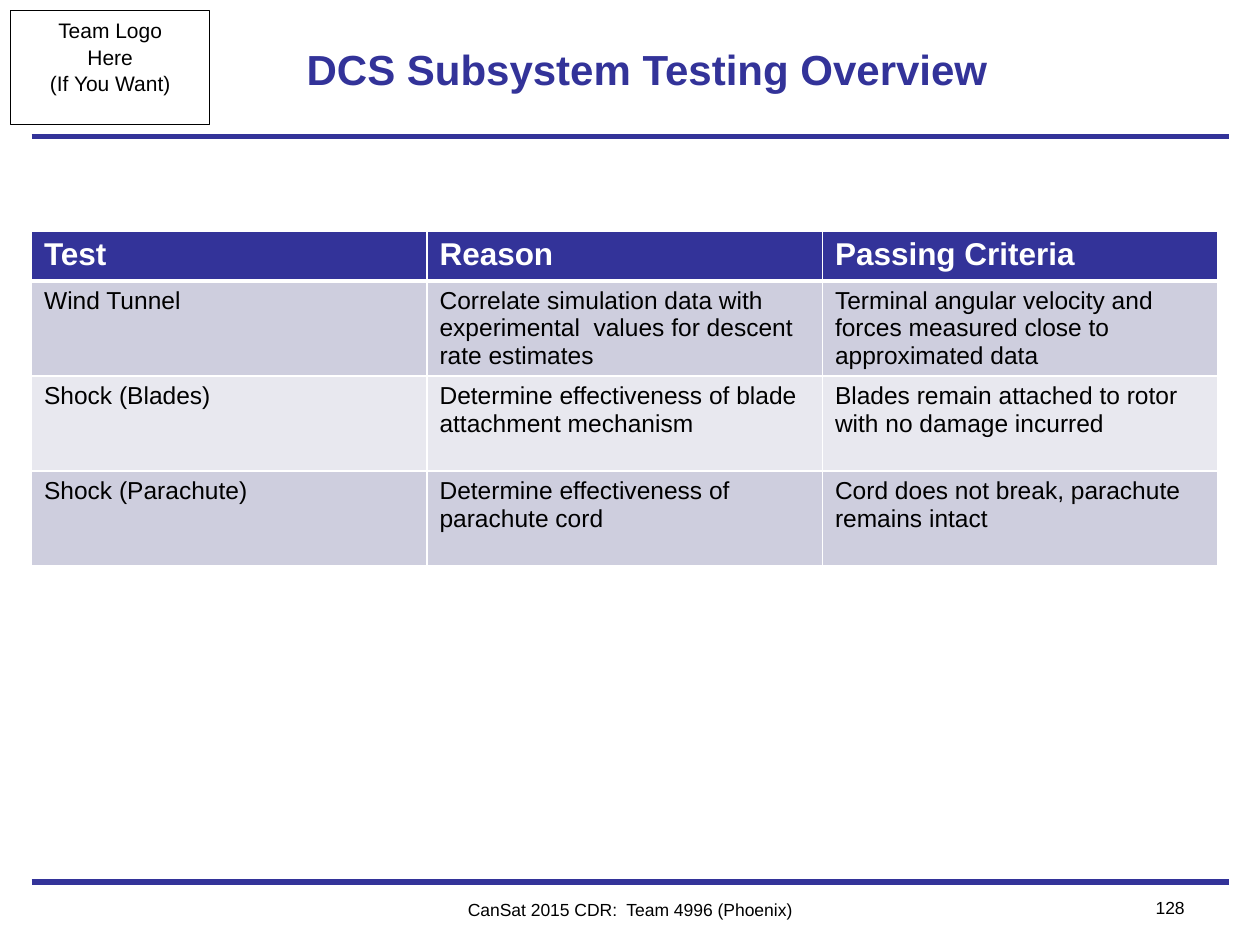
"""Build the DCS subsystem testing overview slide."""
from lxml import etree
from pptx import Presentation
from pptx import util as u
from pptx.dml.color import RGBColor
from pptx.enum import shapes, text
from pptx.oxml import ns

Pt = u.Pt
HUES = {"navy": "333399", "white": "FFFFFF", "black": "000000", "band": "CECEDE", "pale": "E8E8EF"}
LEFT, MID, RIGHT = text.PP_ALIGN.LEFT, text.PP_ALIGN.CENTER, text.PP_ALIGN.RIGHT


def style(frame, hue, align=LEFT, **form):
    for para in frame.paragraphs:
        para.alignment = align
        para.font.color.rgb = RGBColor.from_string(HUES[hue])
        for key, val in {"name": "Arial", "bold": False, **form}.items():
            setattr(para.font, key, val)


def edge(cell, side, width):
    line = etree.SubElement(cell._tc.get_or_add_tcPr(), ns.qn(f"a:ln{side}"), w=str(Pt(width)))
    fill = etree.SubElement(line, ns.qn("a:solidFill"))
    etree.SubElement(fill, ns.qn("a:srgbClr"), val=HUES["white"])


deck = Presentation()
deck.slide_width, deck.slide_height = Pt(720), Pt(540)
slide = deck.slides.add_slide(deck.slide_layouts[5])
items = slide.shapes

for y in (504, 78):
    rule = items.add_connector(shapes.MSO_CONNECTOR.STRAIGHT, Pt(18), Pt(y), Pt(702), Pt(y))
    rule.line.color.rgb = RGBColor.from_string(HUES["navy"])
    rule.line.width = Pt(3)
    etree.SubElement(rule._element.spPr, ns.qn("a:effectLst"))

logo = items.add_shape(shapes.MSO_SHAPE.RECTANGLE, Pt(6), Pt(6), Pt(114), Pt(65))
logo.shadow.inherit = False
logo.fill.background()
logo.line.color.rgb = RGBColor.from_string(HUES["black"])
logo.line.width = Pt(0.5)
logo.text_frame.text = "Team Logo\nHere\n(If You Want)"
logo.text_frame.vertical_anchor = text.MSO_ANCHOR.TOP
style(logo.text_frame, "black", MID, size=Pt(12))
for para in logo.text_frame.paragraphs:
    para.line_spacing = 1.05

title = items.title
title.left, title.top, title.width, title.height = Pt(168), Pt(6), Pt(426), Pt(66)
title.text_frame.text = "DCS Subsystem Testing Overview"
title.text_frame.vertical_anchor = text.MSO_ANCHOR.MIDDLE
style(title.text_frame, "navy", size=Pt(24), bold=True)

rows = [
    ("Test", "Reason", "Passing Criteria"),
    ("Wind Tunnel",
     "Correlate simulation data with experimental  values for descent rate estimates",
     "Terminal angular velocity and forces measured close to approximated data"),
    ("Shock (Blades)",
     "Determine effectiveness of blade attachment mechanism",
     "Blades remain attached to rotor with no damage incurred"),
    ("Shock (Parachute)",
     "Determine effectiveness of parachute cord",
     "Cord does not break, parachute remains intact"),
]
table = items.add_table(4, 3, Pt(18), Pt(132), Pt(678), Pt(192)).table
for col in table.columns:
    col.width = Pt(226)
for r, row in enumerate(rows):
    head = r == 0
    table.rows[r].height = Pt(28.5 if head else 54.3)
    for c, words in enumerate(row):
        cell = table.cell(r, c)
        cell.text = words
        style(cell.text_frame, "white" if head else "black", size=Pt(18 if head else 14), bold=head)
        for side in "LRTB":
            thick = (head and side == "B") or (r == 1 and side == "T")
            edge(cell, side, 3 if thick else 1)
        cell.fill.solid()
        hue = "navy" if head else "band" if r % 2 else "pale"
        cell.fill.fore_color.rgb = RGBColor.from_string(HUES[hue])

notes = [
    ("CanSat 2015 CDR:  Team 4996 (Phoenix)", 216, 510, 288, MID),
    ("128", 630, 509, 54, RIGHT),
]
for words, x, y, width, align in notes:
    box = items.add_textbox(Pt(x), Pt(y), Pt(width), Pt(19.4))
    box.text_frame.word_wrap = True
    box.text_frame.text = words
    style(box.text_frame, "black", align, size=Pt(10))

deck.save("out.pptx")
